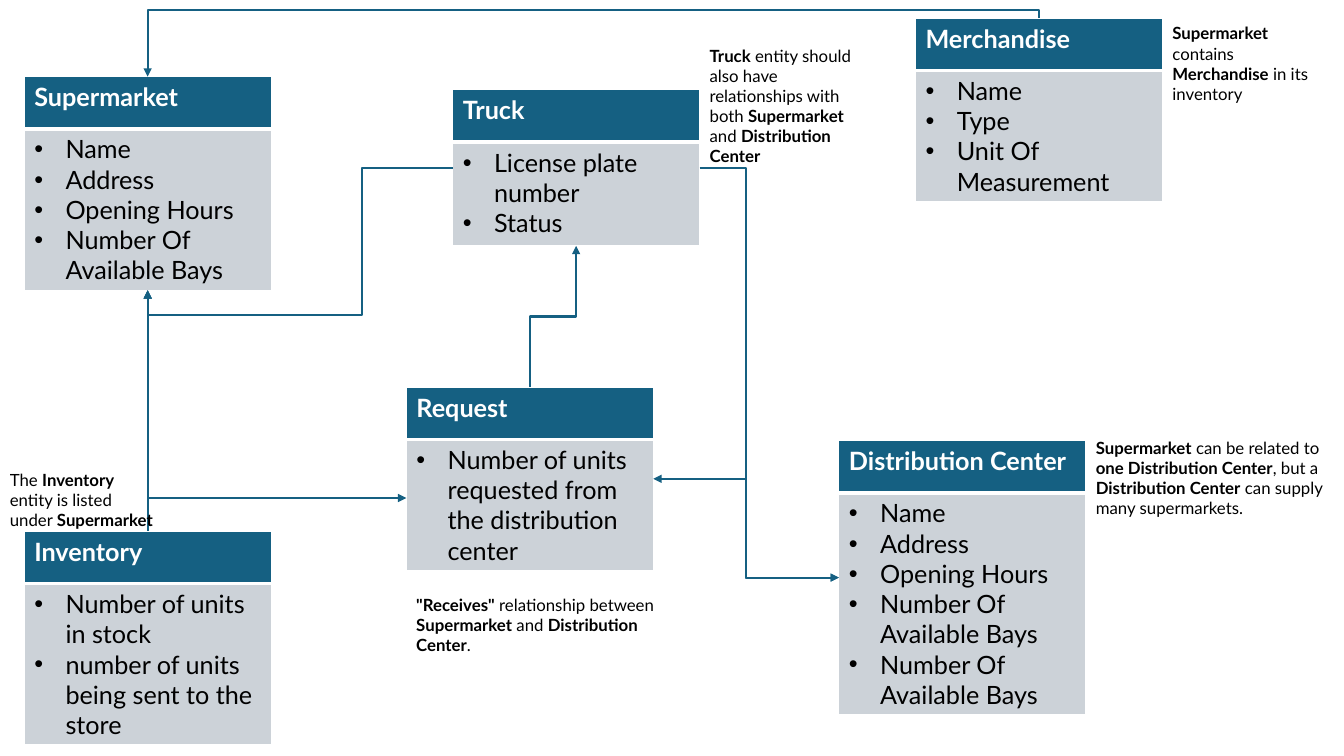
from lxml import etree
from pptx import Presentation
from pptx.dml.color import RGBColor
from pptx.enum.shapes import MSO_CONNECTOR
from pptx.enum.text import MSO_AUTO_SIZE
from pptx.oxml.ns import qn
from pptx.util import Inches, Pt

FONT = "Lato"
BLUE, GREY, WHITE, BLACK = "156082", "CCD2D8", "FFFFFF", "000000"
ENTITY_WIDTH, HEADER_HEIGHT, INDENT = 2.45, 0.52, 0.31

# Entity: left, top, height, attributes
ENTITIES = {
    "Supermarket": (0.24, 0.76, 2.12, [
        "Name", "Address", "Opening Hours", "Number Of Available Bays"]),
    "Distribution Center": (8.32, 4.37, 2.72, [
        "Name", "Address", "Opening Hours",
        "Number Of Available Bays", "Number Of Available Bays"]),
    "Merchandise": (9.08, 0.18, 1.82, ["Name", "Type", "Unit Of Measurement"]),
    "Truck": (4.49, 0.89, 1.55, ["License plate number", "Status"]),
    "Inventory": (0.24, 5.27, 2.12, [
        "Number of units in stock", "number of units being sent to the store"]),
    "Request": (4.03, 3.84, 1.82, [
        "Number of units requested from the distribution center"]),
}

# Note: left, top, width, height, text with bold parts between asterisks
NOTES = [
    (0, 4.61, 1.66, 0.71, "The *Inventory* entity is listed under *Supermarket*"),
    (10.77, 4.29, 2.45, 0.91,
     "*Supermarket* can be related to *one Distribution Center*, but a "
     "*Distribution Center* can supply many supermarkets."),
    (11.53, 0.18, 1.56, 0.91, "*Supermarket* contains *Merchandise* in its inventory"),
    (6.94, 0.4, 1.64, 1.31,
     "*Truck* entity should also have relationships with both *Supermarket* "
     "and *Distribution Center*"),
    (4.03, 5.85, 2.61, 0.71,
     '*"Receives"* relationship between *Supermarket* and *Distribution Center*.'),
]

# Bent relation: from, side, shift down, to, side, bends, rotation, flips,
# bend positions in percent, arrowheads
RELATIONS = [
    ("Merchandise", "top", 0, "Supermarket", "top", 3, 270, "HV", [-14.1], ["tail"]),
    ("Truck", "right", 0, "Distribution Center", "left", 3, 0, "", [33.1], ["tail"]),
    ("Truck", "left", 0, "Supermarket", "bottom", 4, 180, "V", [29.7, 120.5], ["tail"]),
    ("Request", "left", 0.19, "Supermarket", "bottom", 2, 180, "", [], ["head", "tail"]),
    ("Request", "right", 0, "Distribution Center", "left", 3, 0, "", [50],
     ["head", "tail"]),
    ("Request", "top", 0, "Truck", "bottom", 3, 90, "HV", [50], ["tail"]),
]


def color(value):
    return RGBColor.from_string(value)


def style(run, size, tint, bold):
    run.font.name, run.font.size, run.font.bold = FONT, Pt(size), bold
    run.font.color.rgb = color(tint)


def set_borders(cell, widths):
    properties = cell._tc.get_or_add_tcPr()
    for position, (side, width) in enumerate(widths.items()):
        border = etree.Element(qn(f"a:ln{side}"), w=str(Pt(width)))
        fill = etree.SubElement(border, qn("a:solidFill"))
        etree.SubElement(fill, qn("a:srgbClr"), val=WHITE)
        properties.insert(position, border)


def add_entity(name, left, top, height, attributes):
    frame = slide.shapes.add_table(2, 1, Inches(left), Inches(top),
                                   Inches(ENTITY_WIDTH), Inches(height))
    table = frame.table
    table.rows[0].height = Inches(HEADER_HEIGHT)
    table.rows[1].height = Inches(height - HEADER_HEIGHT)
    rows = [([name], BLUE, WHITE, True, {"L": 1, "R": 1, "T": 1, "B": 3}),
            (attributes, GREY, BLACK, False, {"L": 1, "R": 1, "T": 3, "B": 1})]
    for row, (lines, fill, tint, is_header, borders) in enumerate(rows):
        cell = table.cell(row, 0)
        cell.fill.solid()
        cell.fill.fore_color.rgb = color(fill)
        set_borders(cell, borders)
        cell.text_frame.text = "\n".join(lines)
        for paragraph in cell.text_frame.paragraphs:
            style(paragraph.runs[0], 18, tint, is_header)
            if not is_header:
                properties = paragraph._p.get_or_add_pPr()
                properties.set("marL", str(Inches(INDENT)))
                properties.set("indent", str(-Inches(INDENT)))
                etree.SubElement(properties, qn("a:buFont"), typeface="Arial")
                etree.SubElement(properties, qn("a:buChar"), char="•")
    return frame


def side_middle(name, side):
    left, top, height, _ = ENTITIES[name]
    across, down = {"top": (0.5, 0), "left": (0, 0.5),
                    "bottom": (0.5, 1), "right": (1, 0.5)}[side]
    return left + ENTITY_WIDTH * across, top + height * down


def style_line(connector, arrowheads):
    connector.line.color.rgb = color(BLUE)
    connector.line.width = Pt(1.5)
    line = connector.line._get_or_add_ln()
    for end in arrowheads:
        etree.SubElement(line, qn(f"a:{end}End"), type="triangle")
    etree.SubElement(connector._element.spPr, qn("a:effectLst"))


def add_relation(source, source_side, shift, target, target_side,
                 bends, rotation, flips, positions, arrowheads):
    x1, y1 = side_middle(source, source_side)
    x2, y2 = side_middle(target, target_side)
    y1 += shift
    width, height = abs(x2 - x1), abs(y2 - y1)
    if rotation in (90, 270):
        width, height = height, width
    left, top = (x1 + x2 - width) / 2, (y1 + y2 - height) / 2
    connector = slide.shapes.add_connector(
        MSO_CONNECTOR.ELBOW, Inches(left), Inches(top),
        Inches(left + width), Inches(top + height))
    properties = connector._element.spPr
    frame = properties.find(qn("a:xfrm"))
    if rotation:
        frame.set("rot", str(rotation * 60000))
    for flip in flips:
        frame.set(f"flip{flip}", "1")
    geometry = properties.find(qn("a:prstGeom"))
    geometry.set("prst", f"bentConnector{bends}")
    adjustments = geometry.find(qn("a:avLst"))
    for number, percent in enumerate(positions, 1):
        etree.SubElement(adjustments, qn("a:gd"), name=f"adj{number}",
                         fmla=f"val {round(percent * 1000)}")
    style_line(connector, arrowheads)


def add_note(left, top, width, height, text):
    frame = slide.shapes.add_textbox(Inches(left), Inches(top),
                                     Inches(width), Inches(height)).text_frame
    frame.word_wrap = True
    frame.auto_size = MSO_AUTO_SIZE.SHAPE_TO_FIT_TEXT
    for number, part in enumerate(text.split("*")):
        if part:
            run = frame.paragraphs[0].add_run()
            run.text = part
            style(run, 12, BLACK, number % 2 == 1)


presentation = Presentation()
presentation.slide_width, presentation.slide_height = Inches(13.33), Inches(7.5)
slide = presentation.slides.add_slide(presentation.slide_layouts[6])

# Entities
tables = {name: add_entity(name, *entity) for name, entity in ENTITIES.items()}

# Relations
for relation in RELATIONS:
    add_relation(*relation)

# Straight relation from inventory up to supermarket
listing = slide.shapes.add_connector(MSO_CONNECTOR.STRAIGHT, 0, 0, 0, 0)
listing.begin_connect(tables["Inventory"], 0)
listing.end_connect(tables["Supermarket"], 2)
style_line(listing, ["tail"])

# Notes
for note in NOTES:
    add_note(*note)

presentation.save("out.pptx")
